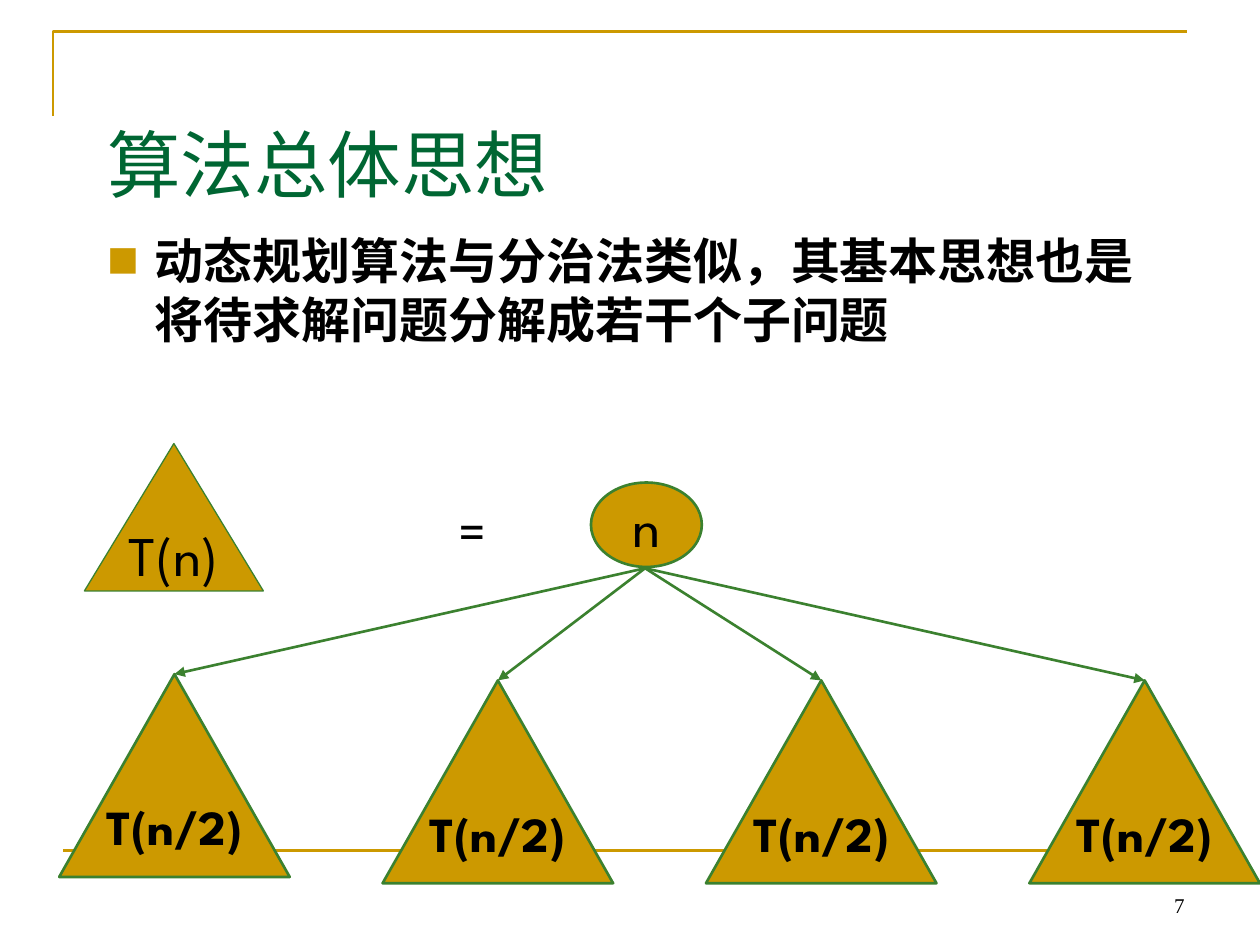
from lxml.etree import SubElement
from pptx import Presentation
from pptx.dml.color import RGBColor
from pptx.enum.shapes import MSO_CONNECTOR, MSO_SHAPE
from pptx.enum.text import MSO_ANCHOR, MSO_AUTO_SIZE, PP_ALIGN
from pptx.oxml.ns import qn
from pptx.util import Inches, Pt

GOLD = RGBColor(0xCC, 0x99, 0x00)
LEAF = RGBColor(0x3B, 0x81, 0x2F)
FOREST = RGBColor(0x00, 0x66, 0x33)
BLACK = RGBColor(0x00, 0x00, 0x00)
SPARTAN = "League Spartan"
TIMES = "Times New Roman"
NOTO = "Noto Sans CJK SC"


class SlideBuilder:
    """Draw styled elements on the current slide."""

    def __init__(self, slide):
        self.slide = slide
        self.shapes = slide.shapes

    def fill_text(self, shape, text, size, font=SPARTAN, color=BLACK, bold=False,
                  align=PP_ALIGN.CENTER, anchor=MSO_ANCHOR.MIDDLE, wrap=True):
        frame = shape.text_frame
        frame.text = text
        paragraph = frame.paragraphs[0]
        run = paragraph.runs[0]
        formats = (
            (frame, {"auto_size": MSO_AUTO_SIZE.NONE, "word_wrap": wrap,
                     "vertical_anchor": anchor}),
            (paragraph, {"alignment": align, "space_before": Pt(0)}),
            (run.font, {"name": font, "size": Pt(size), "bold": bold}),
        )
        for target, values in formats:
            for name, value in values.items():
                setattr(target, name, value)
        run.font.color.rgb = color
        SubElement(run._r.get_or_add_rPr(), qn("a:ea"), typeface=NOTO)
        return paragraph

    def placeholder(self, index, box, text, size, **style):
        holder = self.slide.placeholders[index]
        for name, value in zip(("left", "top", "width", "height"), box):
            setattr(holder, name, Inches(value))
        return self.fill_text(holder, text, size, align=PP_ALIGN.LEFT, **style)

    def bullet(self, paragraph, indent, char, percent):
        properties = paragraph._p.get_or_add_pPr()
        properties.set("marL", str(Inches(indent)))
        properties.set("indent", str(-Inches(indent)))
        color = SubElement(properties, qn("a:buClr"))
        SubElement(color, qn("a:srgbClr"), val=str(GOLD))
        SubElement(properties, qn("a:buSzPct"), val=str(percent * 1000))
        SubElement(properties, qn("a:buFont"), typeface=NOTO)
        SubElement(properties, qn("a:buChar"), char=char)

    def label(self, box, text, size, **style):
        self.fill_text(self.shapes.add_textbox(*map(Inches, box)), text, size, **style)

    def node(self, kind, box, text, size, line_width=1.5, bold=False):
        node = self.shapes.add_shape(kind, *map(Inches, box))
        node.shadow.inherit = False
        node.fill.solid()
        node.fill.fore_color.rgb = GOLD
        node.line.color.rgb = LEAF
        node.line.width = Pt(line_width)
        self.fill_text(node, text, size, bold=bold, wrap=False)
        return node

    def line(self, start, end, color):
        line = self.shapes.add_connector(
            MSO_CONNECTOR.STRAIGHT, *map(Inches, (*start, *end)))
        line.line.color.rgb = color
        line.line.width = Pt(1.5)
        SubElement(line._element.spPr, qn("a:effectLst"))
        return line

    def arrow(self, start, target):
        arrow = self.line(start, start, LEAF)
        arrow.end_connect(target, 0)
        outline = arrow._element.spPr.find(qn("a:ln"))
        SubElement(outline, qn("a:tailEnd"), type="triangle")

    def corner(self, points):
        builder = self.shapes.build_freeform(*map(Inches, points[0]), scale=1.0)
        builder.add_line_segments(
            [(Inches(x), Inches(y)) for x, y in points[1:]], close=False)
        corner = builder.convert_to_shape()
        corner.shadow.inherit = False
        corner.fill.background()
        corner.line.color.rgb = GOLD
        corner.line.width = Pt(1.5)


def main():
    deck = Presentation()
    deck.slide_width, deck.slide_height = Inches(10), Inches(7.5)
    page = SlideBuilder(deck.slides.add_slide(deck.slide_layouts[1]))

    page.corner([(0.42, 0.92), (0.42, 0.25), (9.42, 0.25)])
    page.line((0.5, 6.75), (9.5, 6.75), GOLD)
    page.label((7.17, 6.83, 2.33, 0.5), "7", 12, font=TIMES,
               align=PP_ALIGN.RIGHT, anchor=MSO_ANCHOR.BOTTOM)

    page.placeholder(0, (0.75, 0.67, 8.5, 1.25), "算法总体思想", 42,
                     font=TIMES, color=FOREST)
    idea = page.placeholder(
        1, (0.75, 1.78, 8.5, 4.5),
        "动态规划算法与分治法类似，其基本思想也是将待求解问题分解成若干个子问题",
        28, font=NOTO, bold=True, anchor=MSO_ANCHOR.TOP)
    page.bullet(idea, 0.38, "■", 65)

    page.node(MSO_SHAPE.ISOSCELES_TRIANGLE, (0.67, 3.52, 1.42, 1.17),
              "T(n)", 32, line_width=0.75)
    page.label((3.17, 3.88, 1.17, 0.64), "=", 32, anchor=MSO_ANCHOR.TOP)
    page.node(MSO_SHAPE.OVAL, (4.69, 3.83, 0.88, 0.67), "n", 32)

    subproblem_gap = 7.7 / 3
    for column, top in enumerate((5.35, 5.4, 5.4, 5.4)):
        subproblem = page.node(
            MSO_SHAPE.ISOSCELES_TRIANGLE,
            (0.47 + column * subproblem_gap, top, 1.83, 1.61),
            "T(n/2)", 28, bold=True)
        page.arrow((5.12, 4.51), subproblem)

    deck.save("out.pptx")


if __name__ == "__main__":
    main()
